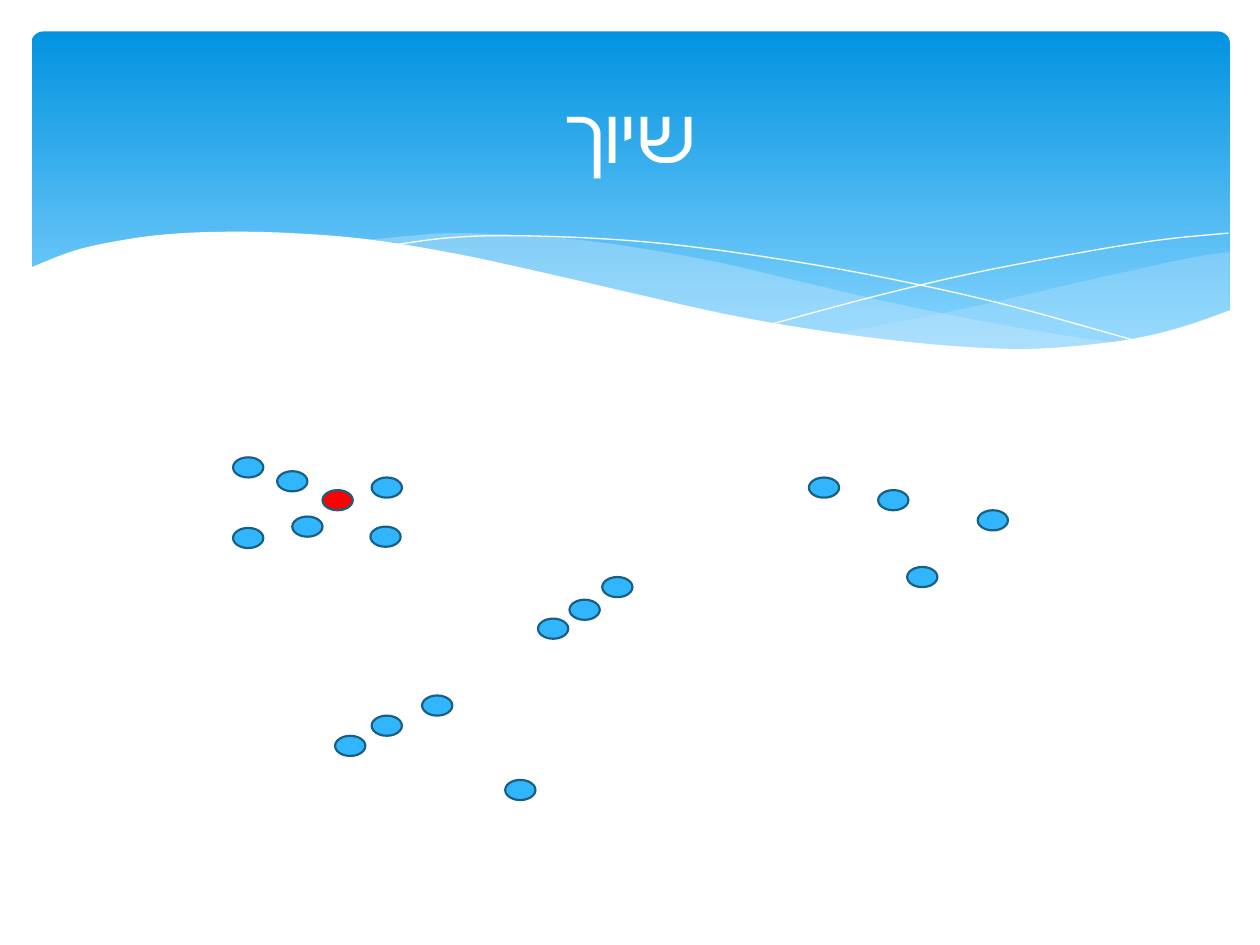
import pptx
import pptx.util
import pptx.dml.color
import pptx.enum.shapes
import pptx.enum.text
import lxml.etree

Pt = pptx.util.Pt
Kind = pptx.enum.shapes.MSO_SHAPE
HUE = {k: pptx.dml.color.RGBColor.from_string(v) for k, v in {
    "top": "0293E0", "low": "83D3FE", "wave": "C6E7FC", "white": "FFFFFF",
    "dot": "31B6FD", "edge": "195F84", "pick": "FF0000"}.items()}

deck = pptx.Presentation()
deck.slide_width = pptx.util.Inches(10)
deck.slide_height = pptx.util.Inches(7.5)
slide = deck.slides.add_slide(deck.slide_layouts[6])
shapes = slide.shapes

# Grid of 100 columns by 75 rows
COL = deck.slide_width / 100
ROW = deck.slide_height / 75


def grid(x, y, w, h):
    return [round(n * unit) for n, unit in zip((x, y, w, h), (COL, ROW, COL, ROW))]


def curve(knots, steps=6):
    """Smooth points, in slide units, through the grid knots."""
    ends = [knots[0], *knots, knots[-1]]
    pts = []
    for a, b, c, d in zip(ends, ends[1:], ends[2:], ends[3:]):
        for t in (i / steps for i in range(steps)):
            x, y = ((2 * q + (r - p) * t + (2 * p - 5 * q + 4 * r - s) * t**2
                     + (3 * q - p - 3 * r + s) * t**3) / 2
                    for p, q, r, s in zip(a, b, c, d))
            pts.append((round(x * COL), round(y * ROW)))
    return pts + [(round(knots[-1][0] * COL), round(knots[-1][1] * ROW))]


# Banner with a fading fill
banner = shapes.add_shape(Kind.ROUNDED_RECTANGLE, *grid(2.5, 2.5, 95.1, 27))
banner.adjustments[0] = 0.034
banner.shadow.inherit = False
banner.line.fill.background()
banner.fill.gradient()
banner.fill.gradient_angle = 270
for stop, hue, pos in zip(banner.fill.gradient_stops, ("top", "low"), (0, 0.9)):
    stop.color.rgb = HUE[hue]
    stop.position = pos

# Waves: edges, fill, opacity in percent; no fill means an open white line
waves = [
    ([[(97.6, 20), (94.8, 20.4), (90.6, 21.3), (86.1, 22.3), (77.9, 24.2),
       (70.6, 25.7), (66.1, 26.5)],
      [(66.1, 26.5), (71.9, 27.2), (76.9, 27.7), (81.4, 27.8), (86.3, 27.5),
       (90.5, 26.9), (94.2, 25.9), (97.6, 24.7)]], "wave", 29),
    ([[(89.3, 27.3), (83.7, 26.5), (77.5, 25.4), (70.6, 24), (62.9, 22.2),
       (56.9, 20.8), (51.4, 19.8), (46.5, 19.1), (42, 18.7), (36.1, 18.5),
       (32.8, 18.7), (28.6, 19.1)],
      [(28.6, 19.1), (34.2, 19.9), (40.4, 21.1), (44.9, 22.2), (53, 24),
       (60.1, 25.5), (66.5, 26.6), (72.2, 27.4), (77.3, 27.7),
       (81.8, 27.8), (85.7, 27.7), (89.3, 27.3)]], "wave", 40),
    ([[(30.9, 19.5), (35.3, 18.9), (40.1, 18.7), (46.9, 18.9), (53.3, 19.4),
       (60.8, 20.4), (69.5, 21.9), (79.5, 24.1), (90.7, 27.2)]], None, 100),
    ([[(61.3, 25.7), (69.5, 23.5), (77.6, 21.6), (86.6, 19.9), (92.4, 19),
       (97.5, 18.5)]], None, 100),
    ([[(97.7, 24.6), (94, 25.9), (89.9, 26.9), (85, 27.5), (80.9, 27.7),
       (76.1, 27.5), (70.8, 27), (64.8, 26.2), (57.9, 25), (50.3, 23.3),
       (44.7, 22), (36.5, 20.2), (29.2, 19), (23, 18.5), (17.7, 18.4),
       (13.2, 18.6), (9.5, 19.1), (5.9, 19.9), (2.3, 21.3)],
      [(2.3, 32.9)], [(97.7, 32.9)]], "white", 100),
]
for edges, hue, alpha in waves:
    pts = [pt for edge in edges for pt in curve(edge)]
    pen = shapes.build_freeform(*pts[0])
    pen.add_line_segments(pts[1:], close=bool(hue))
    wave = pen.convert_to_shape()
    wave.shadow.inherit = False
    if hue:
        wave.fill.solid()
        wave.fill.fore_color.rgb = HUE[hue]
        wave.line.fill.background()
        tint = wave.fill._xPr.find(".//" + pptx.oxml.ns.qn("a:srgbClr"))
        lxml.etree.SubElement(tint, pptx.oxml.ns.qn("a:alpha")).set("val", str(alpha * 1000))
    else:
        wave.fill.background()
        wave.line.color.rgb = HUE["white"]
        wave.line.width = Pt(0)

# Title, set right to left
title = shapes.add_textbox(*grid(5, 3.7, 90, 13.7))
frame = title.text_frame
para = frame.paragraphs[0]
run = para.add_run()
formats = [
    (frame, {"word_wrap": True, "vertical_anchor": pptx.enum.text.MSO_ANCHOR.MIDDLE}),
    (para, {"alignment": pptx.enum.text.PP_ALIGN.CENTER}),
    (run, {"text": "שיוך"}),
    (run.font, {"size": Pt(44), "name": "Calibri"}),
    (run.font.color, {"rgb": HUE["white"]}),
]
for part, values in formats:
    for name, value in values.items():
        setattr(part, name, value)
para._p.get_or_add_pPr().set("rtl", "1")
script = lxml.etree.SubElement(run.font._element, pptx.oxml.ns.qn("a:cs"))
script.set("typeface", "Calibri")

# Dots in their groups, then the one picked out
dots = [
    (18.5, 36.3), (18.5, 41.9), (23.2, 41), (22, 37.4), (29.5, 37.9), (29.4, 41.8),
    (64.2, 37.9), (69.7, 38.9), (72, 45), (77.6, 40.5),
    (26.6, 58.4), (29.5, 56.8), (33.5, 55.2),
    (47.8, 45.8), (42.7, 49.1), (45.2, 47.6),
    (40.1, 61.9), (25.6, 38.9),
]
for x, y in dots:
    dot = shapes.add_shape(Kind.OVAL, *grid(x, y, 2.4, 1.6))
    dot.shadow.inherit = False
    dot.fill.solid()
    dot.fill.fore_color.rgb = HUE["pick" if (x, y) == dots[-1] else "dot"]
    dot.line.color.rgb = HUE["edge"]
    dot.line.width = Pt(1.25)

deck.save("out.pptx")
